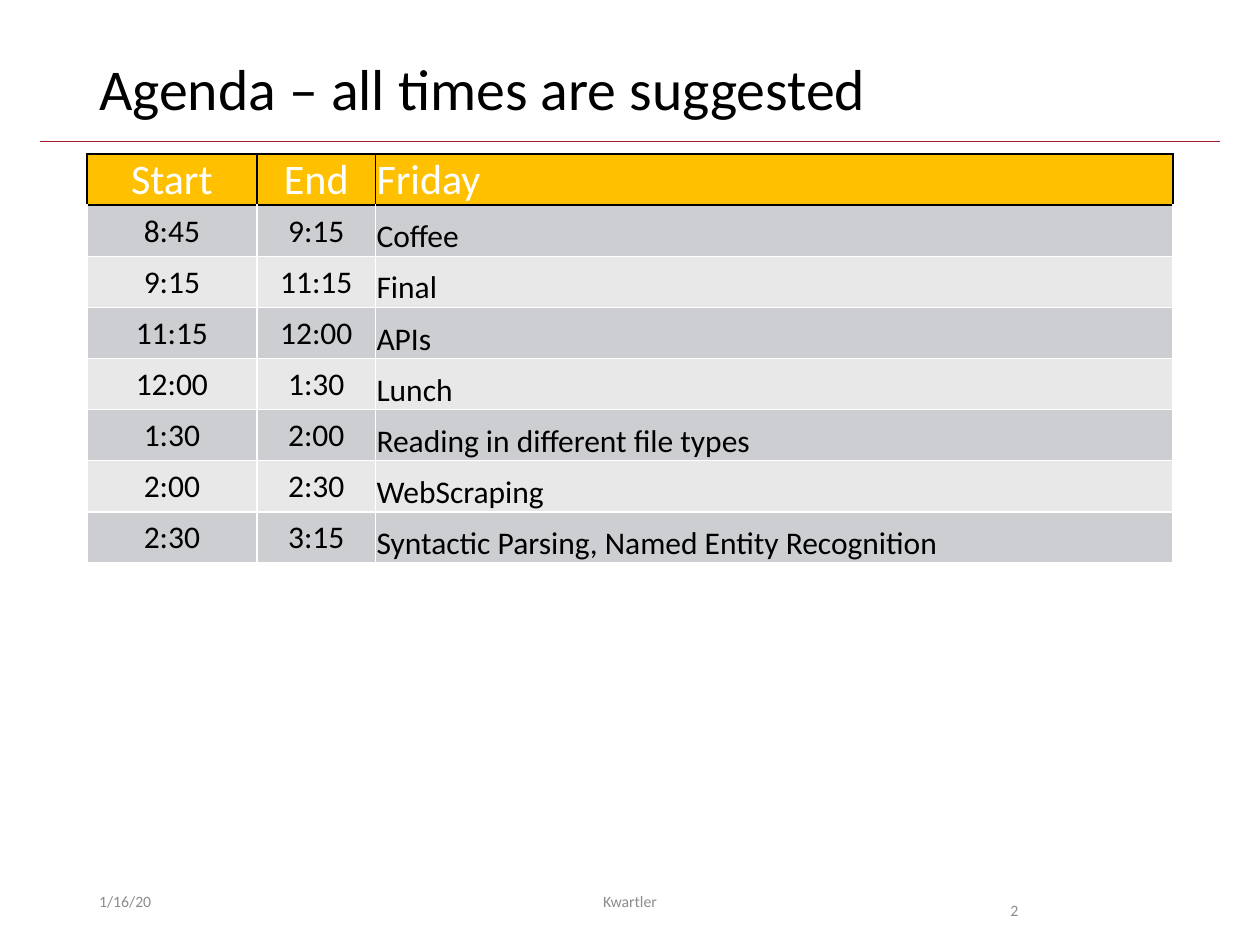
from lxml import etree
from pptx import Presentation
from pptx.dml.color import RGBColor
from pptx.enum.shapes import MSO_CONNECTOR
from pptx.enum.text import MSO_ANCHOR, PP_ALIGN
from pptx.oxml.ns import qn
from pptx.util import Cm, Pt

LEFT, CENTER = PP_ALIGN.LEFT, PP_ALIGN.CENTER
TOP, MIDDLE, BOTTOM = MSO_ANCHOR.TOP, MSO_ANCHOR.MIDDLE, MSO_ANCHOR.BOTTOM

FONT = "Calibri"
BLACK = RGBColor(0x00, 0x00, 0x00)
WHITE = RGBColor(0xFF, 0xFF, 0xFF)
GRAY = RGBColor(0x8C, 0x8C, 0x8C)
CRIMSON = RGBColor(0xA5, 0x1C, 0x30)
GOLD = RGBColor(0xFF, 0xC0, 0x00)
BANDS = (RGBColor(0xCD, 0xCE, 0xD1), RGBColor(0xE8, 0xE8, 0xE9))

TITLE = "Agenda – all times are suggested"
AGENDA = [
    ("Start", "End", "Friday"),
    ("8:45", "9:15", "Coffee"),
    ("9:15", "11:15", "Final"),
    ("11:15", "12:00", "APIs"),
    ("12:00", "1:30", "Lunch"),
    ("1:30", "2:00", "Reading in different file types"),
    ("2:00", "2:30", "WebScraping"),
    ("2:30", "3:15", "Syntactic Parsing, Named Entity Recognition"),
]
COLUMN_WIDTHS = (3.43, 2.39, 16.08)
ROW_HEIGHT = 1.03
MARGIN = 1.75

# text, left, width, alignment, anchor, line spacing
FOOTERS = [
    ("1/16/20", MARGIN, 5.72, LEFT, MIDDLE, 1.0),
    ("Kwartler", 8.41, 8.58, CENTER, MIDDLE, 1.0),
    ("2", 20.12, 2.39, LEFT, TOP, 2.0),
]


def style(paragraph, size, color, alignment):
    paragraph.alignment = alignment
    paragraph.font.name = FONT
    paragraph.font.size = Pt(size)
    paragraph.font.color.rgb = color


def add_text(slide, text, box, size, color, alignment, anchor, spacing):
    frame = slide.shapes.add_textbox(*map(Cm, box)).text_frame
    frame.word_wrap = True
    frame.vertical_anchor = anchor
    paragraph = frame.paragraphs[0]
    paragraph.text = text
    paragraph.line_spacing = spacing
    style(paragraph, size, color, alignment)


def set_borders(cell, **colors):
    """Draw 1 pt borders, given in the order L, R, T, B."""
    properties = cell._tc.get_or_add_tcPr()
    for side, color in colors.items():
        line = etree.SubElement(properties, qn(f"a:ln{side}"), w=str(Pt(1)))
        fill = etree.SubElement(line, qn("a:solidFill"))
        etree.SubElement(fill, qn("a:srgbClr"), val=str(color))


def add_agenda(slide):
    table = slide.shapes.add_table(
        len(AGENDA), len(COLUMN_WIDTHS), Cm(MARGIN), Cm(3.1),
        Cm(sum(COLUMN_WIDTHS)), Cm(ROW_HEIGHT * len(AGENDA))).table
    for column, width in zip(table.columns, COLUMN_WIDTHS):
        column.width = Cm(width)
    for r, entries in enumerate(AGENDA):
        table.rows[r].height = Cm(ROW_HEIGHT)
        header = r == 0
        edge = BLACK if header else WHITE
        for c, text in enumerate(entries):
            cell = table.cell(r, c)
            is_time = c < 2
            set_borders(cell, L=edge, R=edge, T=BLACK if r <= 1 else WHITE, B=edge)
            cell.fill.solid()
            cell.fill.fore_color.rgb = GOLD if header else BANDS[(r - 1) % 2]
            cell.margin_left = cell.margin_right = cell.margin_top = Cm(0.02)
            cell.margin_bottom = 0
            cell.vertical_anchor = MIDDLE if header or is_time else BOTTOM
            cell.text = text
            style(cell.text_frame.paragraphs[0], 24 if header else 18,
                  WHITE if header else BLACK, CENTER if is_time else LEFT)


def main():
    presentation = Presentation()
    presentation.slide_width, presentation.slide_height = Cm(25.4), Cm(19.05)
    slide = presentation.slides.add_slide(presentation.slide_layouts[6])

    rule = slide.shapes.add_connector(
        MSO_CONNECTOR.STRAIGHT, Cm(0.81), Cm(2.85), Cm(24.59), Cm(2.85))
    rule.line.color.rgb = CRIMSON
    rule.line.width = Pt(0.5)
    etree.SubElement(rule._element.spPr, qn("a:effectLst"))

    add_text(slide, TITLE, (MARGIN, 1.02, 21.9, 1.65), 33, BLACK, LEFT, MIDDLE, 0.9)
    add_agenda(slide)
    for text, left, width, alignment, anchor, spacing in FOOTERS:
        add_text(slide, text, (left, 17.65, width, 1.02), 9, GRAY,
                 alignment, anchor, spacing)

    presentation.save("out.pptx")


if __name__ == "__main__":
    main()
